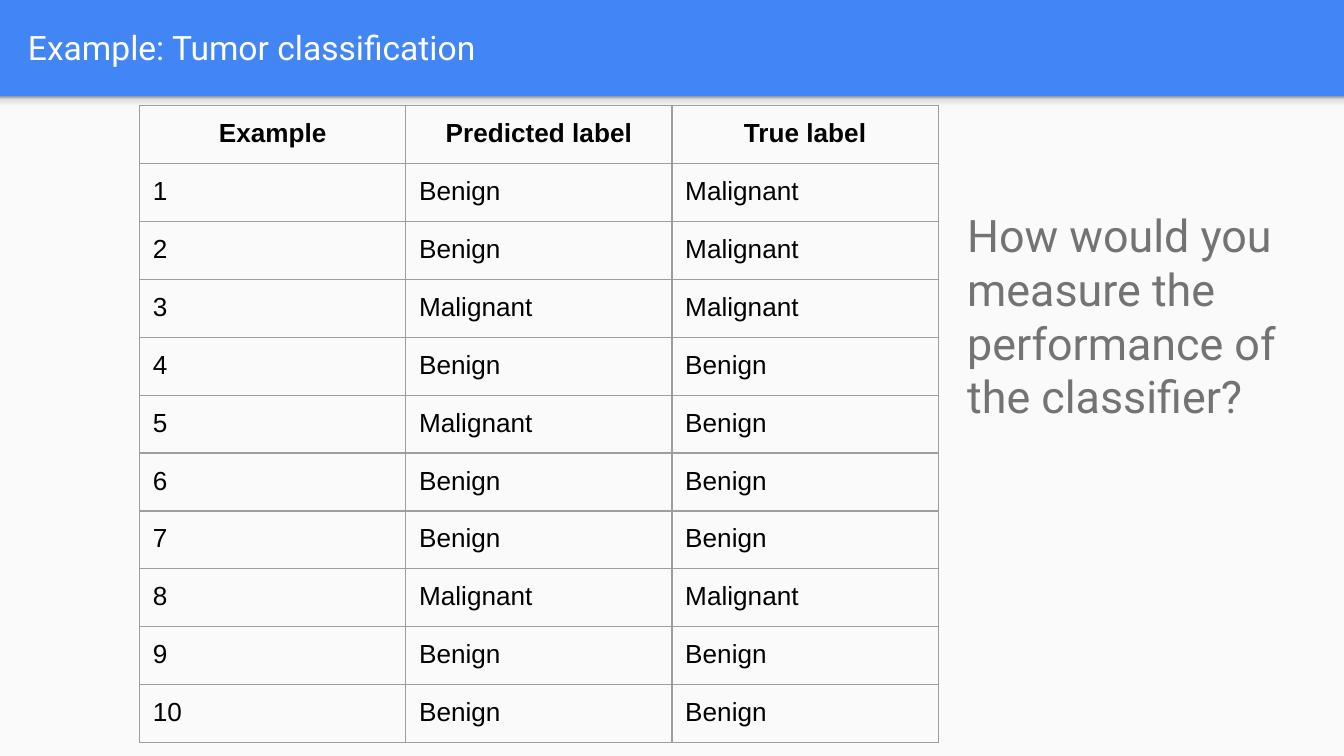
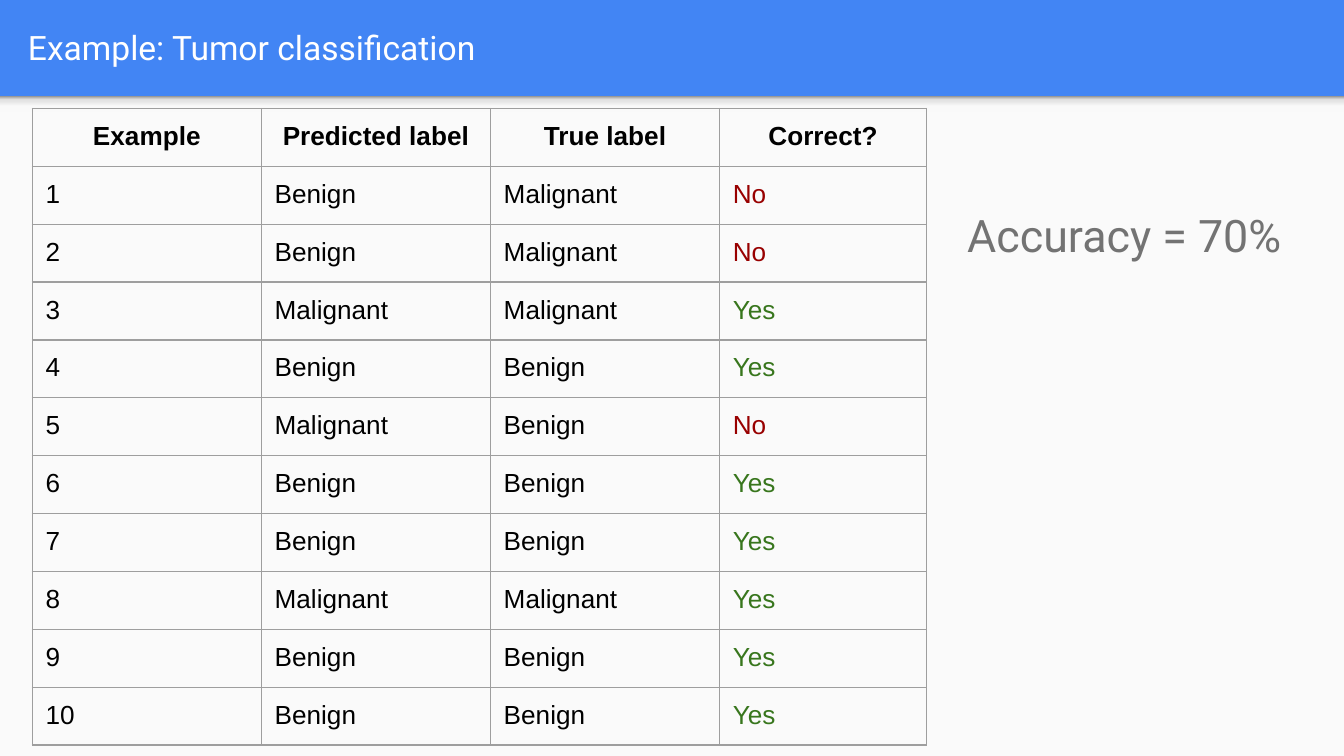
from lxml import etree
from pptx import Presentation
from pptx import util as u
from pptx.dml.color import RGBColor
from pptx.enum import shapes, text
from pptx.oxml import ns

BLUE, PAPER, WHITE, GREY = "4285F4", "FAFAFA", "FFFFFF", "737373"
BLACK, BORDER, RED, GREEN = "000000", "9E9E9E", "980000", "38761D"
SHADOW = [(0, "F9F9F9"), (36, "F9F9F9"), (80, "DEDEDE"), (100, "999999")]
INSET = u.Cm(0.25)
MARGINS = {"margin_left": INSET, "margin_right": INSET,
           "margin_top": INSET, "margin_bottom": INSET}
WIDTH, HEIGHT, BAND = 25.4, 14.29, 1.82

HEADER = ["Example", "Predicted label", "True label"]
LABELS = {"B": "Benign", "M": "Malignant"}
PREDICTED, TRUE = "BBMBMBBMBB", "MMMBBBBMBB"


def rgb(value):
    """Turn a hex string into a colour."""
    return RGBColor.from_string(value)


def style(target, values):
    """Set each attribute named in a dict."""
    for name, value in values.items():
        setattr(target, name, value)


def sub(parent, tag, **attrs):
    """Append a drawing element to a parent."""
    return etree.SubElement(parent, ns.qn(tag), **attrs)


class Deck:
    """Holds the shared style and the current slide."""

    def __init__(self):
        """Start an empty presentation."""
        self.prs = Presentation()
        style(self.prs, {"slide_width": u.Cm(WIDTH), "slide_height": u.Cm(HEIGHT)})
        self.s = None

    def slide(self, title):
        """Add a slide with its title band, page and shadow."""
        self.s = self.prs.slides.add_slide(self.prs.slide_layouts[6])
        self.solid(self.s.background.fill, BLUE)
        self.solid(self.rect(0, BAND, WIDTH, HEIGHT - BAND).fill, PAPER)
        self.gradient(self.rect(0, BAND, WIDTH, 0.3), SHADOW)
        self.text(title, (0.28, 0.05, 24.5, 1.68), 18, WHITE, text.MSO_ANCHOR.MIDDLE)

    def solid(self, fill, colour):
        """Give a fill one plain colour."""
        fill.solid()
        fill.fore_color.rgb = rgb(colour)

    def rect(self, *box):
        """Add a rectangle without outline or shadow."""
        sp = self.s.shapes.add_shape(shapes.MSO_SHAPE.RECTANGLE, *map(u.Cm, box))
        sp.shadow.inherit = False
        sp.line.fill.background()
        return sp

    def gradient(self, sp, stops):
        """Fill a shape with colour stops running upwards."""
        sp.fill.gradient()
        sp.fill.gradient_angle = 90
        stop_list = next(sp._element.iter(ns.qn("a:gsLst")))
        for old in list(stop_list):
            stop_list.remove(old)
        for percent, colour in stops:
            stop = sub(stop_list, "a:gs", pos=str(percent * 1000))
            sub(stop, "a:srgbClr", val=colour)

    def paragraph(self, tf, content, size, colour, font, bold=False, align=None):
        """Put one styled paragraph into a text frame."""
        p = tf.paragraphs[0]
        p.alignment = align
        r = p.add_run()
        r.text = content
        style(r.font, {"name": font, "size": u.Pt(size), "bold": bold})
        r.font.color.rgb = rgb(colour)

    def text(self, content, box, size, colour, anchor=text.MSO_ANCHOR.TOP):
        """Add a wrapping text box."""
        tf = self.s.shapes.add_textbox(*map(u.Cm, box)).text_frame
        style(tf, {"word_wrap": True, "vertical_anchor": anchor, **MARGINS})
        self.paragraph(tf, content, size, colour, "Roboto")

    def cell(self, cell, content, header):
        """Style and fill one table cell."""
        style(cell, MARGINS)
        props = cell._tc.get_or_add_tcPr()
        for side in "LRTB":
            line = sub(props, f"a:ln{side}", w=str(u.Pt(0.75)))
            sub(sub(line, "a:solidFill"), "a:srgbClr", val=BORDER)
        cell.fill.background()
        colour = {"Yes": GREEN, "No": RED}.get(content, BLACK)
        align = text.PP_ALIGN.CENTER if header else None
        self.paragraph(cell.text_frame, content, 14, colour, "Arial", header, align)

    def table(self, left, top, widths, rows):
        """Add a bordered table with a bold header row."""
        height = u.Cm(12.12)
        frame = self.s.shapes.add_table(
            len(rows), len(widths), u.Cm(left), u.Cm(top), u.Cm(sum(widths)), height)
        table = frame.table
        style(table, {"first_row": False, "horz_banding": False})
        for column, width in zip(table.columns, widths):
            column.width = u.Cm(width)
        for i, row in enumerate(rows):
            table.rows[i].height = u.Cm(0.79)
            for j, content in enumerate(row):
                self.cell(table.cell(i, j), content, i == 0)
        frame.height = height

    def remark(self, content):
        """Add the large grey remark beside the table."""
        self.text(content, (18.03, 3.68, 6.76, 8.86), 24, GREY)


def main():
    """Build both slides and save them."""
    pairs = list(zip(PREDICTED, TRUE))
    rows = [HEADER] + [[str(i), LABELS[guess], LABELS[truth]]
                       for i, (guess, truth) in enumerate(pairs, 1)]
    verdicts = ["Correct?"] + ["Yes" if guess == truth else "No" for guess, truth in pairs]
    judged = [row + [verdict] for row, verdict in zip(rows, verdicts)]

    deck = Deck()
    for left, top, widths, content, remark in [
        (2.64, 2, [5.03] * 3, rows,
         "How would you measure the performance of the classifier?"),
        (0.61, 2.05, [4.33] * 3 + [3.91], judged, "Accuracy = 70%"),
    ]:
        deck.slide("Example: Tumor classification")
        deck.table(left, top, widths, content)
        deck.remark(remark)
    deck.prs.save("out.pptx")


if __name__ == "__main__":
    main()
